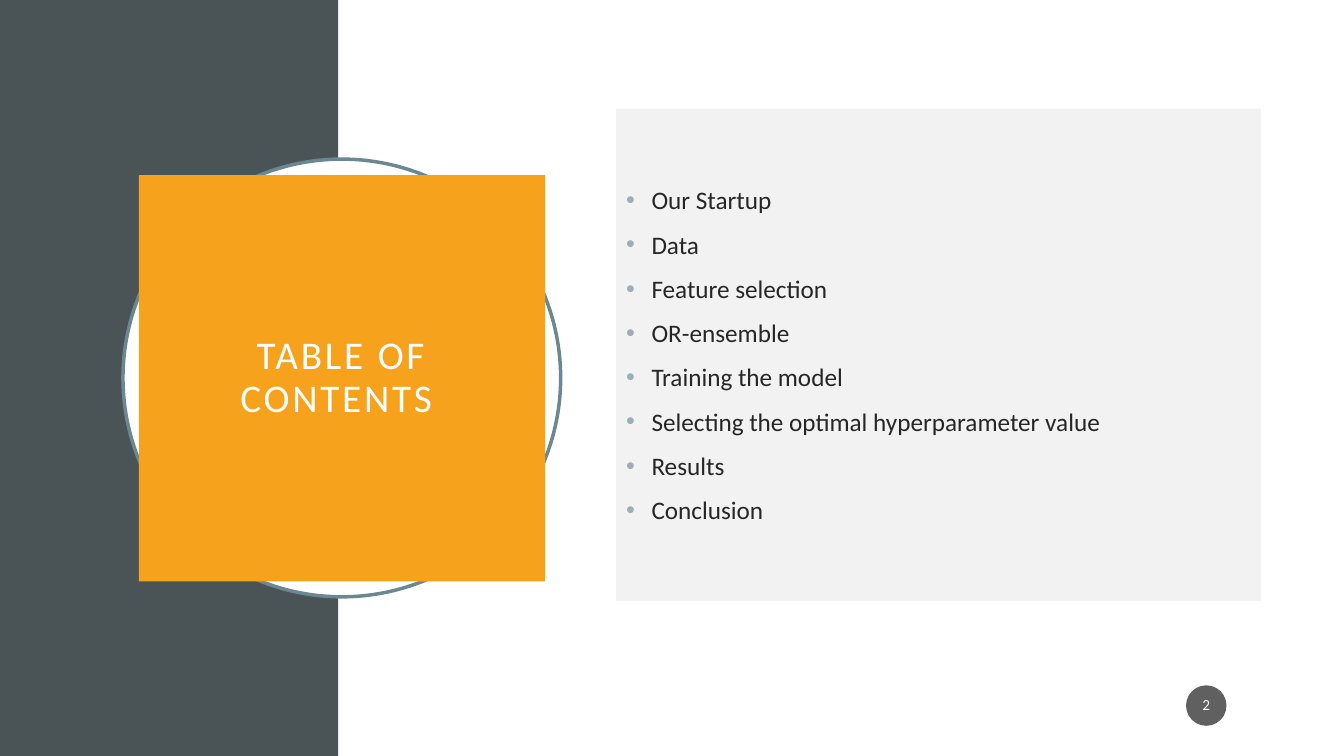
from lxml.etree import SubElement
from pptx import Presentation
from pptx.dml.color import RGBColor
from pptx.enum.shapes import MSO_SHAPE
from pptx.enum.text import MSO_ANCHOR, MSO_AUTO_SIZE, PP_ALIGN
from pptx.oxml.ns import qn
from pptx.util import Cm, Pt

SLATE = RGBColor(0x4A, 0x53, 0x56)
WHITE = RGBColor(0xFF, 0xFF, 0xFF)
STEEL = RGBColor(0x6B, 0x88, 0x91)
AMBER = RGBColor(0xF6, 0xA2, 0x1D)
PALE = RGBColor(0xF2, 0xF2, 0xF2)
MIST = RGBColor(0x9B, 0xAF, 0xB5)
INK = RGBColor(0x26, 0x26, 0x26)
BLACK = RGBColor(0x1D, 0x1D, 0x1D)

TOPICS = [
    "Our Startup",
    "Data",
    "Feature selection",
    "OR-ensemble",
    "Training the model",
    "Selecting the optimal hyperparameter value",
    "Results",
    "Conclusion",
]


def apply(target, values):
    """Set each named attribute of the target."""
    for name, value in values.items():
        setattr(target, name, value)


def paint(shape, color):
    """Give the shape a solid fill."""
    shape.fill.solid()
    shape.fill.fore_color.rgb = color


def add_block(slide, kind, box, color):
    """Add a flat shape without outline or shadow; box is in cm."""
    shape = slide.shapes.add_shape(kind, *map(Cm, box))
    shape.shadow.inherit = False
    paint(shape, color)
    shape.line.fill.background()
    return shape


def write(shape, lines, size, color, frame, para):
    """Write the lines into the shape, one paragraph each."""
    text = shape.text_frame
    text.text = "\n".join(lines)
    apply(text, {"word_wrap": True, "auto_size": MSO_AUTO_SIZE.NONE,
                 "vertical_anchor": MSO_ANCHOR.MIDDLE, **frame})
    for item in text.paragraphs:
        apply(item, para)
        font = item.runs[0].font
        apply(font, {"name": "Calibri", "size": Pt(size)})
        font.color.rgb = color


def add_dots(shape):
    """Put a coloured bullet and hanging indent on each paragraph."""
    for item in shape.text_frame.paragraphs:
        props = item._p.get_or_add_pPr()
        props.set("marL", str(Cm(0.64)))
        props.set("indent", str(-Cm(0.64)))
        tint = SubElement(props, qn("a:buClr"))
        SubElement(tint, qn("a:srgbClr"), val=str(MIST))
        SubElement(props, qn("a:buFont"), typeface="Arial")
        SubElement(props, qn("a:buChar"), char="•")


def set_title(slide):
    """Place the title in its amber square, above the ring."""
    title = slide.shapes.title
    title.element.getparent().append(title.element)
    apply(title, {"left": Cm(3.5), "top": Cm(4.41),
                  "width": Cm(10.24), "height": Cm(10.24)})
    paint(title, AMBER)
    sides = ("left", "top", "right", "bottom")
    write(title, ["TABLE OF CONTENTS "], 28, WHITE,
          {f"margin_{side}": Cm(0.51) for side in sides},
          {"alignment": PP_ALIGN.CENTER, "line_spacing": 0.9})
    run = title.text_frame.paragraphs[0].runs[0]
    run.font._element.set("spc", "200")


def add_list(slide):
    """Add the grey panel with the topics."""
    panel = add_block(slide, MSO_SHAPE.RECTANGLE,
                      (15.53, 2.74, 16.25, 12.4), PALE)
    write(panel, TOPICS, 18, INK, {},
          {"alignment": PP_ALIGN.LEFT, "space_before": Pt(10)})
    add_dots(panel)


def add_badge(slide):
    """Add the round page number."""
    badge = add_block(slide, MSO_SHAPE.OVAL, (29.89, 17.27, 1.02, 1.02), BLACK)
    tint = badge.element.spPr.find(qn("a:solidFill"))[0]
    SubElement(tint, qn("a:alpha"), val="70000")
    write(badge, ["2"], 11, WHITE,
          {"margin_left": Cm(0.05), "margin_right": Cm(0.05)},
          {"alignment": PP_ALIGN.CENTER, "line_spacing": 0.9,
           "space_after": Pt(6)})


def main():
    """Build the contents slide."""
    deck = Presentation()
    apply(deck, {"slide_width": Cm(33.87), "slide_height": Cm(19.05)})
    slide = deck.slides.add_slide(deck.slide_layouts[5])
    add_block(slide, MSO_SHAPE.RECTANGLE, (0, 0, 8.53, 19.05), SLATE)
    add_block(slide, MSO_SHAPE.RECTANGLE, (8.53, 0, 25.34, 19.05), WHITE)
    ring = add_block(slide, MSO_SHAPE.OVAL, (3.1, 4.01, 11.03, 11.03), WHITE)
    ring.line.color.rgb = STEEL
    ring.line.width = Pt(2.5)
    set_title(slide)
    add_list(slide)
    add_badge(slide)
    deck.save("out.pptx")


if __name__ == "__main__":
    main()
